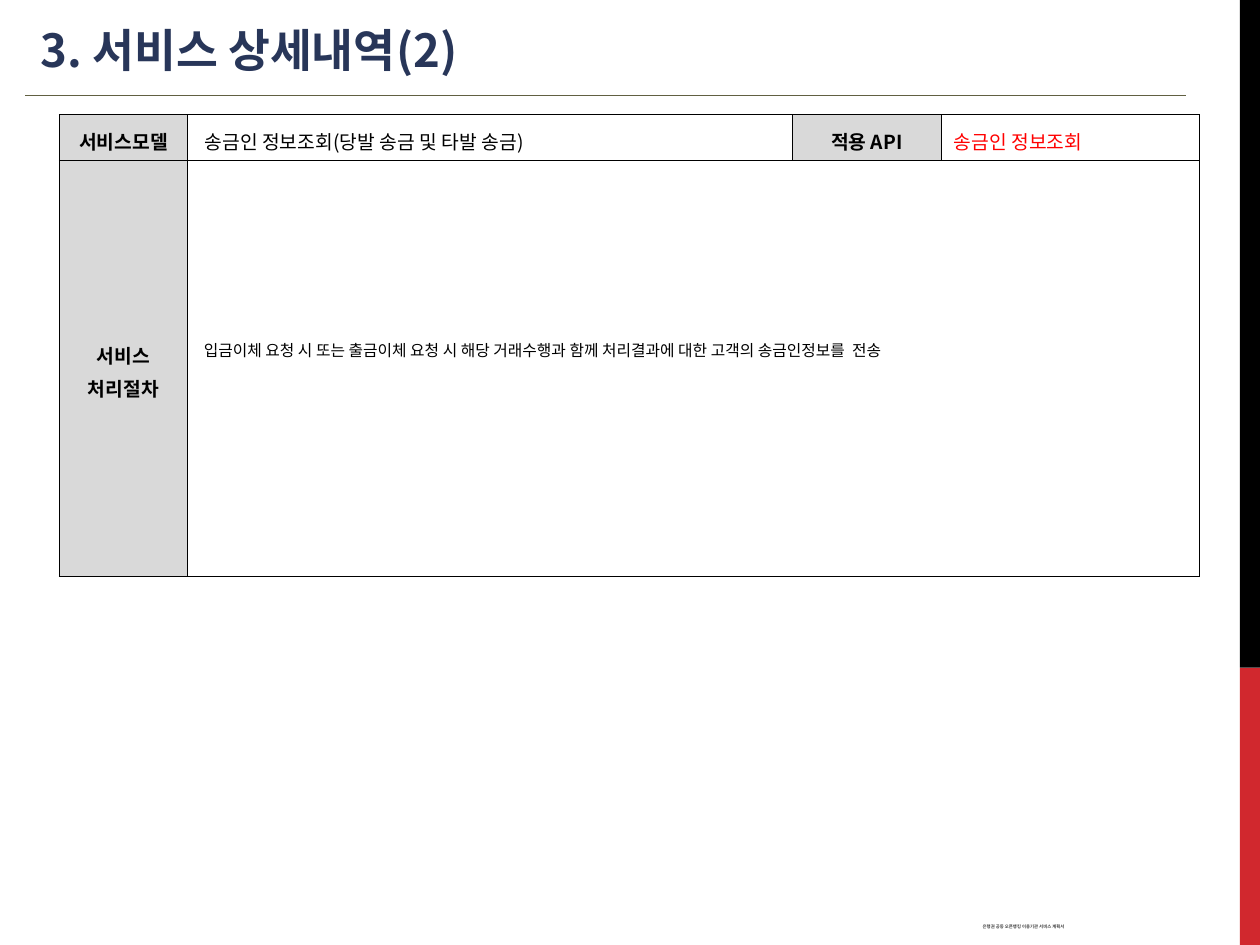
import lxml.etree
import pptx
import pptx.dml.color
import pptx.enum.shapes
import pptx.enum.text
import pptx.oxml.ns
import pptx.util

Inches = pptx.util.Inches
Pt = pptx.util.Pt
RGBColor = pptx.dml.color.RGBColor
ALIGN = pptx.enum.text.PP_ALIGN
MIDDLE = pptx.enum.text.MSO_ANCHOR.MIDDLE
qn = pptx.oxml.ns.qn

BLACK = RGBColor(0x00, 0x00, 0x00)
WHITE = RGBColor(0xFF, 0xFF, 0xFF)
RED = RGBColor(0xFF, 0x00, 0x00)
BAR_RED = RGBColor(0xD1, 0x28, 0x2E)
NAVY = RGBColor(0x28, 0x36, 0x59)
OLIVE = RGBColor(0x61, 0x60, 0x42)
DARK_GRAY = RGBColor(0x40, 0x40, 0x40)
LABEL_GRAY = RGBColor(0xD9, 0xD9, 0xD9)

FONT = "Noto Sans CJK KR"
WIDTH, HEIGHT = 10, 7.5
BAR_WIDTH = 0.16
BAR_SPLIT = 5.3
COLUMNS = (1.02, 4.8, 1.18, 2.05)
ROWS = (0.32, 3.3)

LABEL = dict(bold=True, align=ALIGN.CENTER, line_spacing=1.2)
VALUE = dict(align=ALIGN.JUSTIFY, line_spacing=1.2, before=3.4)


def write_text(frame, text, size=11, color=BLACK, bold=False, align=ALIGN.LEFT,
               line_spacing=1.0, before=0, indent=0):
    """Write each line of text as a paragraph with the given format."""
    for index, line in enumerate(text.split("\n")):
        paragraph = frame.paragraphs[0] if index == 0 else frame.add_paragraph()
        paragraph.alignment = align
        paragraph.line_spacing = line_spacing
        paragraph.space_before = Pt(before)
        properties = paragraph._p.get_or_add_pPr()
        properties.set("marL", str(Inches(indent)))
        properties.set("indent", "0")
        run = paragraph.add_run()
        run.text = line
        run.font.name = FONT
        run.font.size = Pt(size)
        run.font.bold = bold
        run.font.color.rgb = color
        east_asian = lxml.etree.SubElement(run.font._element, qn("a:ea"))
        east_asian.set("typeface", FONT)


def place(shape, left, top, width, height):
    shape.left, shape.top = Inches(left), Inches(top)
    shape.width, shape.height = Inches(width), Inches(height)


def prepare_frame(frame):
    frame.word_wrap = True
    frame.auto_size = pptx.enum.text.MSO_AUTO_SIZE.NONE
    frame.vertical_anchor = MIDDLE


def add_bar(slide, top, bottom, color):
    shape = slide.shapes.add_shape(
        pptx.enum.shapes.MSO_SHAPE.RECTANGLE, Inches(WIDTH - BAR_WIDTH),
        Inches(top), Inches(BAR_WIDTH), Inches(bottom - top))
    shape.shadow.inherit = False
    shape.fill.solid()
    shape.fill.fore_color.rgb = color
    shape.line.fill.background()


def add_title(slide, text):
    title = slide.shapes.title
    place(title, 0.12, 0.05, 9.17, 0.69)
    prepare_frame(title.text_frame)
    write_text(title.text_frame, text, size=26, color=NAVY, bold=True, indent=0.1)


def add_rule(slide, left, right, y):
    line = slide.shapes.add_connector(
        pptx.enum.shapes.MSO_CONNECTOR.STRAIGHT,
        Inches(left), Inches(y), Inches(right), Inches(y))
    line.line.color.rgb = OLIVE
    line.line.width = Pt(0.75)
    lxml.etree.SubElement(line._element.spPr, qn("a:effectLst"))


def add_footer(slide, text):
    box = slide.shapes.add_textbox(0, 0, 0, 0)
    place(box, 6.34, 7.29, 3.47, 0.14)
    prepare_frame(box.text_frame)
    write_text(box.text_frame, text, size=2.5, color=DARK_GRAY, bold=True,
               align=ALIGN.CENTER, line_spacing=0.8, indent=0.1)


def add_borders(cell):
    properties = cell._tc.get_or_add_tcPr()
    for index, side in enumerate(("lnL", "lnR", "lnT", "lnB")):
        border = lxml.etree.Element(qn("a:" + side), w=str(Pt(0.45)))
        fill = lxml.etree.SubElement(border, qn("a:solidFill"))
        lxml.etree.SubElement(fill, qn("a:srgbClr"), val=str(BLACK))
        properties.insert(index, border)


def fill_cell(cell, text, fill=WHITE, **text_format):
    cell.fill.solid()
    cell.fill.fore_color.rgb = fill
    cell.vertical_anchor = MIDDLE
    write_text(cell.text_frame, text, **text_format)


def add_service_table(slide):
    table = slide.shapes.add_table(
        len(ROWS), len(COLUMNS), Inches(0.47), Inches(0.91),
        Inches(sum(COLUMNS)), Inches(sum(ROWS))).table
    for column, width in zip(table.columns, COLUMNS):
        column.width = Inches(width)
    for row, height in zip(table.rows, ROWS):
        row.height = Inches(height)
    for cell in table.iter_cells():
        add_borders(cell)

    procedure = table.cell(1, 1)
    procedure.merge(table.cell(1, 3))
    fill_cell(table.cell(0, 0), "서비스모델", LABEL_GRAY, **LABEL)
    fill_cell(table.cell(0, 1), " 송금인 정보조회(당발 송금 및 타발 송금)", **VALUE)
    fill_cell(table.cell(0, 2), "적용 API", LABEL_GRAY, **LABEL)
    fill_cell(table.cell(0, 3), "송금인 정보조회", color=RED, **VALUE)
    fill_cell(table.cell(1, 0), "서비스\n처리절차", LABEL_GRAY, **LABEL)
    fill_cell(procedure,
              " 입금이체 요청 시 또는 출금이체 요청 시 해당 거래수행과 함께 "
              "처리결과에 대한 고객의 송금인정보를  전송",
              size=9, align=ALIGN.JUSTIFY, line_spacing=1.07)
    procedure.margin_bottom = Inches(0.36)


def main():
    presentation = pptx.Presentation()
    presentation.slide_width = Inches(WIDTH)
    presentation.slide_height = Inches(HEIGHT)
    slide = presentation.slides.add_slide(presentation.slide_layouts[5])
    add_bar(slide, BAR_SPLIT, HEIGHT, BAR_RED)
    add_bar(slide, 0, BAR_SPLIT, BLACK)
    add_title(slide, "3. 서비스 상세내역(2)")
    add_rule(slide, 0.2, 9.41, 0.76)
    add_footer(slide, "은행권 공동 오픈뱅킹 이용기관 서비스 계획서")
    add_service_table(slide)
    presentation.save("out.pptx")


if __name__ == "__main__":
    main()
